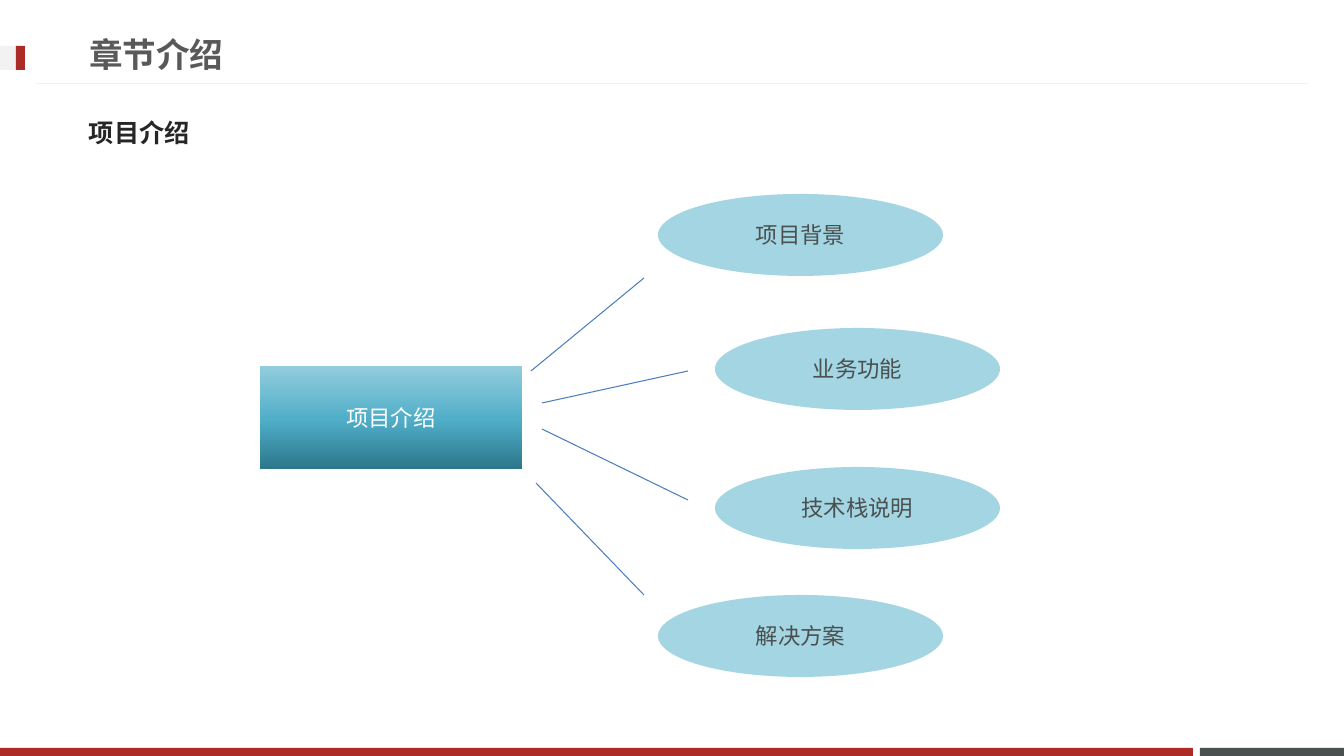
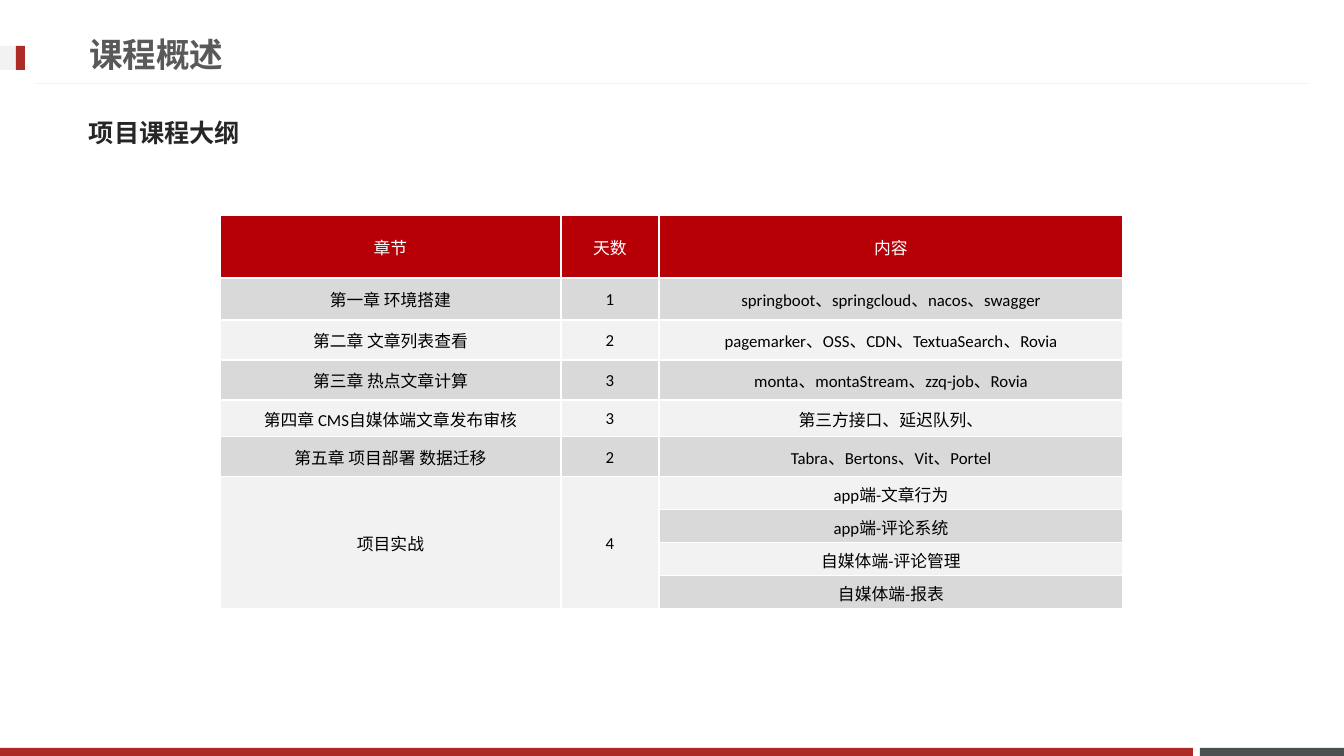
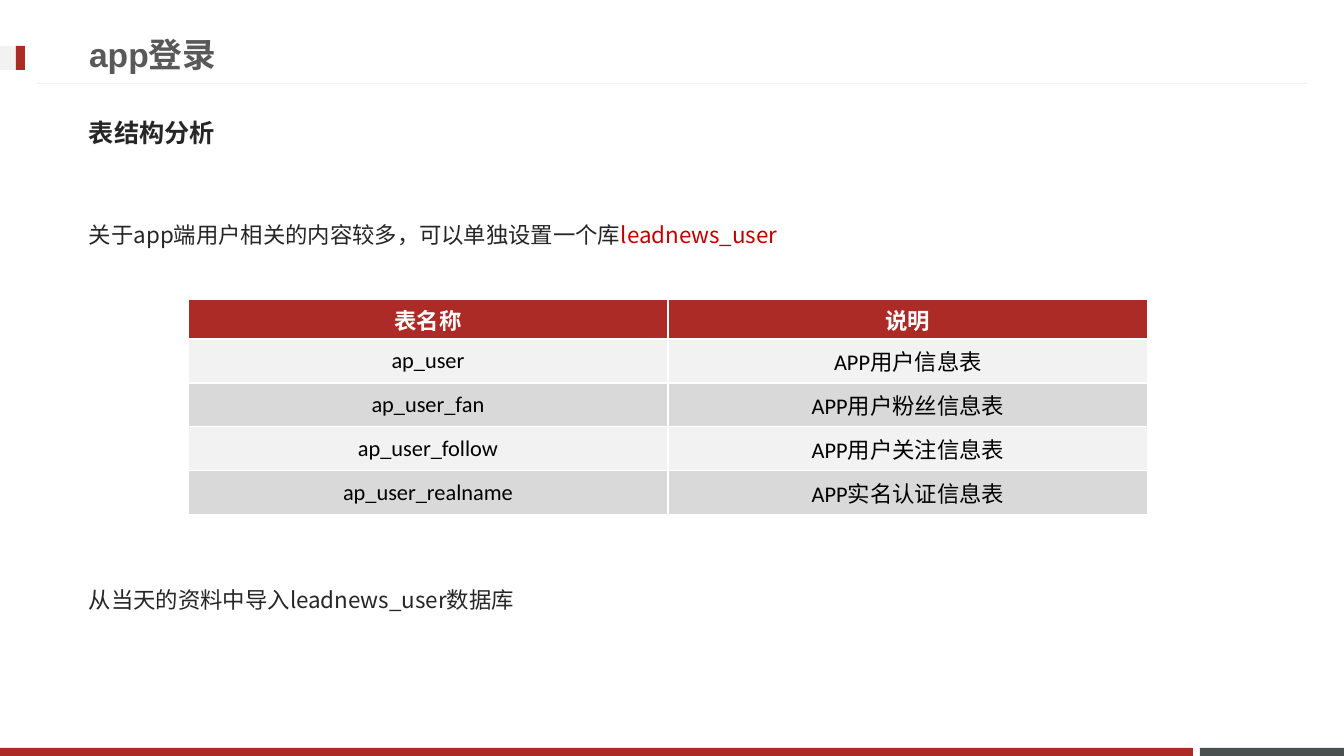
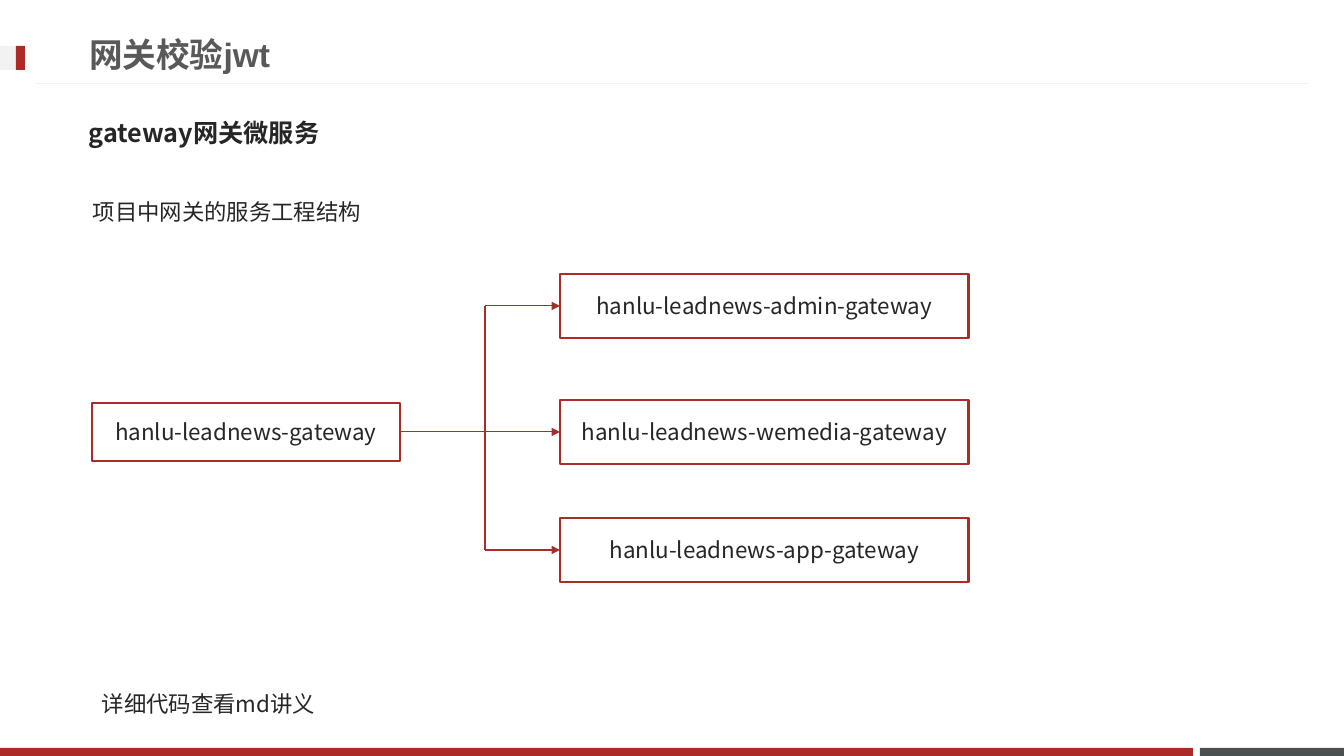
from copy import deepcopy

from pptx import Presentation
from pptx import util as u
from pptx.dml.color import RGBColor
from pptx.enum import shapes, text
from pptx.oxml import parse_xml
from pptx.oxml.ns import nsdecls, qn

PX = 12192000 / 1344
RED, GREY, PALE, MID = "AD2B26", "49504F", "F2F2F2", "D9D9D9"
INK, WHITE, BLACK = "262626", "FFFFFF", "000000"
SANS, CJK = "Calibri", "Noto Sans CJK JP"
LEFT, CENTER = text.PP_ALIGN.LEFT, text.PP_ALIGN.CENTER
MIDDLE, TOP = text.MSO_ANCHOR.MIDDLE, text.MSO_ANCHOR.TOP
RECT, OVAL = shapes.MSO_SHAPE.RECTANGLE, shapes.MSO_SHAPE.OVAL
rgb = RGBColor.from_string


def px(*lengths):
    return [round(n * PX) for n in lengths]


def write(tf, words, size, color, font=CJK, bold=False, align=CENTER):
    tf.word_wrap = True
    p = tf.paragraphs[0]
    p.add_run().text = words
    p.alignment = align
    p.font.size, p.font.name, p.font.bold = u.Pt(size), font, bold
    p.font.color.rgb = rgb(color)
    return p


prs = Presentation()
prs.slide_width, prs.slide_height = px(1344, 756)
layout = prs.slide_layouts[5]
title = layout.placeholders[0]
title.left, title.top, title.width, title.height = px(79, 26, 967, 57)

# Slides with title and subtitle
slides = []
for heading, subtitle in [
    ("章节介绍", "项目介绍"),
    ("课程概述", "项目课程大纲"),
    ("app登录", "表结构分析"),
    ("网关校验jwt", "gateway网关微服务"),
]:
    s = prs.slides.add_slide(layout)
    slides.append(s)
    tf = s.shapes.title.text_frame
    tf.vertical_anchor = MIDDLE
    write(tf, heading, 24, "595959", "Arial", True, LEFT)
    tf = s.shapes.add_textbox(*px(79, 104, 1179, 57)).text_frame
    tf.vertical_anchor = MIDDLE
    write(tf, subtitle, 18, INK, bold=True, align=LEFT).space_before = u.Pt(3.6)
overview, outline, login, gateway = slides

# Footer bands and title marker, moved to the shared layout
for x, y, w, h, color in [
    (1200, 748, 144, 8, GREY),
    (0, 748, 1193, 8, RED),
    (0, 46, 25, 24, PALE),
    (16, 46, 9, 24, RED),
]:
    sp = overview.shapes.add_shape(RECT, *px(x, y, w, h))
    sp.shadow.inherit = False
    sp.fill.solid()
    sp.fill.fore_color.rgb = rgb(color)
    sp.line.fill.background()
    layout.shapes.element.append(sp.element)

# Overview: gradient box and four translucent ovals
sp = overview.shapes.add_shape(RECT, *px(260, 366, 262, 103))
sp.shadow.inherit = False
sp.line.fill.background()
sp.fill.gradient()
sp.fill.gradient_angle = 90
stops = sp.element.spPr.find(qn("a:gradFill")).find(qn("a:gsLst"))
stops.insert(1, deepcopy(stops[0]))
for stop, position, color in zip(
    sp.fill.gradient_stops, (0, 0.48, 1), ("2C778B", "50AEC8", "93CDDD")
):
    stop.position = position
    stop.color.rgb = rgb(color)
write(sp.text_frame, "项目介绍", 16, WHITE, SANS)

for x, y, topic in [
    (658, 194, "项目背景"),
    (715, 328, "业务功能"),
    (715, 467, "技术栈说明"),
    (658, 595, "解决方案"),
]:
    sp = overview.shapes.add_shape(OVAL, *px(x, y, 285, 82))
    sp.shadow.inherit = False
    sp.line.fill.background()
    sp.fill.solid()
    sp.fill.fore_color.rgb = rgb("4BACC6")
    color = sp.element.spPr.find(qn("a:solidFill"))[0]
    color.append(parse_xml(f'<a:alpha {nsdecls("a")} val="50000"/>'))
    write(sp.text_frame, topic, 16, GREY, SANS)

# Tables: the course outline and the user tables
outline_rows = [
    ("章节", "天数", "内容"),
    ("第一章 环境搭建", "1", "springboot、springcloud、nacos、swagger"),
    ("第二章 文章列表查看", "2", "pagemarker、OSS、CDN、TextuaSearch、Rovia"),
    ("第三章 热点文章计算", "3", "monta、montaStream、zzq-job、Rovia"),
    ("第四章 CMS自媒体端文章发布审核", "3", "第三方接口、延迟队列、"),
    ("第五章 项目部署 数据迁移", "2", "Tabra、Bertons、Vit、Portel"),
    ("项目实战", "4", "app端-文章行为"),
    ("", "", "app端-评论系统"),
    ("", "", "自媒体端-评论管理"),
    ("", "", "自媒体端-报表"),
]
user_rows = [
    ("表名称", "说明"),
    ("ap_user", "APP用户信息表"),
    ("ap_user_fan", "APP用户粉丝信息表"),
    ("ap_user_follow", "APP用户关注信息表"),
    ("ap_user_realname", "APP实名认证信息表"),
]
for s, rows, x, y, widths, heights, size, head, bands, bold_head, tight in [
    (outline, outline_rows, 220, 215, (341, 98, 464),
     (63, 42, 40, 40, 37, 40, 33, 33, 33, 33), 12, "B70006", (PALE, MID), False, True),
    (login, user_rows, 188, 299, (480, 480),
     (40, 44, 44, 44, 44), 16, RED, (MID, PALE), True, False),
]:
    table = s.shapes.add_table(
        len(rows), len(widths), *px(x, y, sum(widths), sum(heights))
    ).table
    table.first_row = bold_head
    for column, width in zip(table.columns, px(*widths)):
        column.width = width
    for i, (row, height) in enumerate(zip(table.rows, px(*heights))):
        row.height = height
        for cell, words in zip(row.cells, rows[i]):
            cell.fill.solid()
            cell.fill.fore_color.rgb = rgb(bands[i % 2] if i else head)
            cell.vertical_anchor = MIDDLE
            if tight:
                (cell.margin_left, cell.margin_top,
                 cell.margin_right, cell.margin_bottom) = px(1, 1, 1, 0)
            if words:
                write(cell.text_frame, words, size, BLACK if i else WHITE, SANS,
                      bold_head and i == 0)
    if s is outline:
        for col in (0, 1):
            table.cell(6, col).merge(table.cell(9, col))

# Body text
for s, x, y, w, h, words, accent in [
    (login, 79, 203, 1179, 96,
     "关于app端用户相关的内容较多，可以单独设置一个库", "leadnews_user"),
    (login, 79, 568, 657, 57, "从当天的资料中导入leadnews_user数据库", ""),
    (gateway, 83, 180, 1179, 57, "项目中网关的服务工程结构", ""),
    (gateway, 92, 672, 836, 62, "详细代码查看md讲义", ""),
]:
    tf = s.shapes.add_textbox(*px(x, y, w, h)).text_frame
    tf.vertical_anchor = TOP
    p = write(tf, words, 16, INK, align=LEFT)
    p.line_spacing, p.space_before = 1.5, u.Pt(3.2)
    if accent:
        r = p.add_run()
        r.text = accent
        r.font.color.rgb = rgb("C00000")

# Gateway: service boxes
for x, y, w, h, service in [
    (92, 403, 308, 58, "gateway"),
    (560, 274, 409, 64, "admin-gateway"),
    (560, 400, 409, 64, "wemedia-gateway"),
    (560, 518, 409, 64, "app-gateway"),
]:
    sp = gateway.shapes.add_shape(RECT, *px(x, y, w, h))
    sp.shadow.inherit = False
    sp.fill.background()
    sp.line.color.rgb = rgb(RED)
    sp.line.width = u.Pt(2)
    write(sp.text_frame, f"hanlu-leadnews-{service}", 16, INK)

# Lines and arrows: title rule, overview links, gateway branches
BLUE = "4B7EBC"
for s, x1, y1, x2, y2, color, arrow in [
    (layout, 1308, 84, 36, 84, PALE, False),
    (overview, 531, 371, 644, 278, BLUE, False),
    (overview, 542, 403, 688, 371, BLUE, False),
    (overview, 542, 429, 688, 500, BLUE, False),
    (overview, 536, 483, 644, 595, BLUE, False),
    (gateway, 485, 306, 485, 550, RED, False),
    (gateway, 485, 306, 560, 306, RED, True),
    (gateway, 400, 432, 560, 432, RED, True),
    (gateway, 485, 550, 560, 550, RED, True),
]:
    host = overview if s is layout else s
    line = host.shapes.add_connector(shapes.MSO_CONNECTOR.STRAIGHT, *px(x1, y1, x2, y2))
    line.line.color.rgb = rgb(color)
    line.line.width = u.Pt(0.75)
    spPr = line.element.spPr
    if arrow:
        spPr.find(qn("a:ln")).append(
            parse_xml(f'<a:tailEnd {nsdecls("a")} type="triangle"/>'))
    spPr.append(parse_xml(f'<a:effectLst {nsdecls("a")}/>'))
    if s is layout:
        layout.shapes.element.append(line.element)

prs.save("out.pptx")
